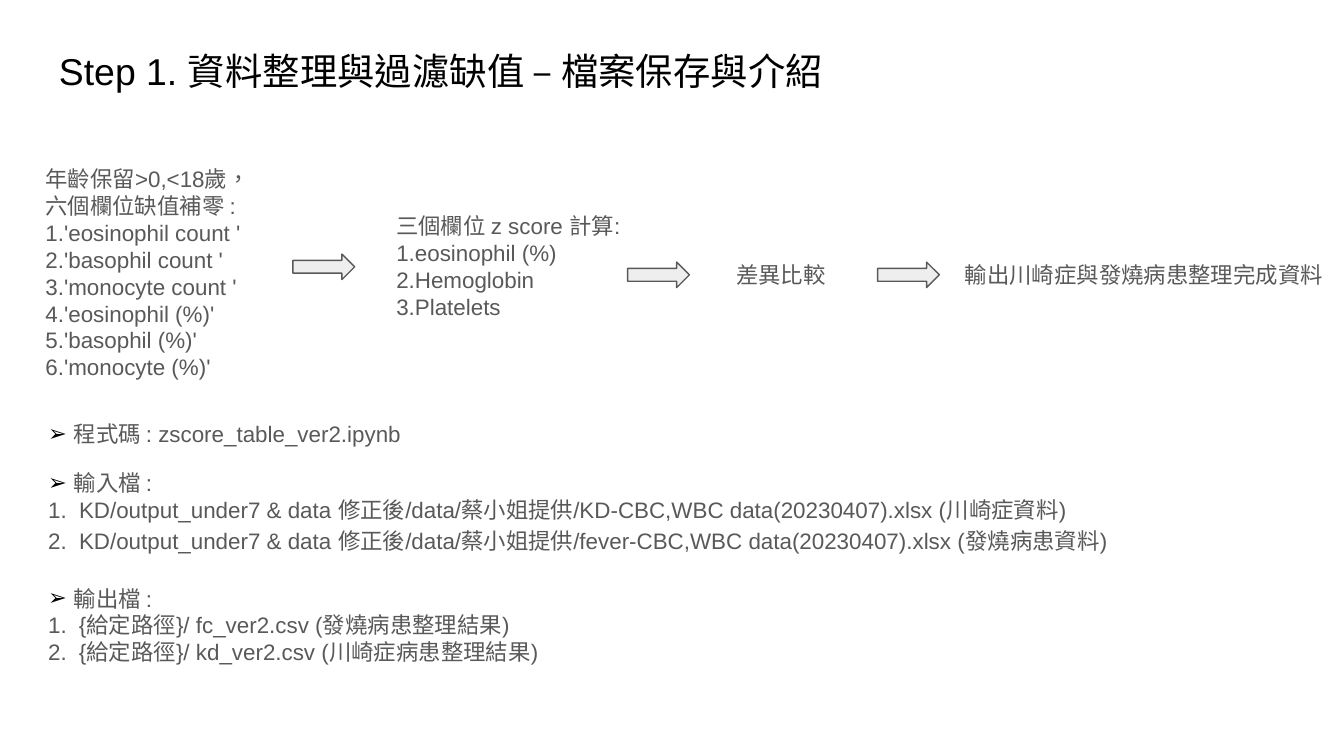
import pptx
import pptx.util
import pptx.dml.color
import pptx.enum.shapes
import pptx.enum.text
import pptx.oxml.ns
import lxml.etree

Inches = pptx.util.Inches
Pt = pptx.util.Pt
RGBColor = pptx.dml.color.RGBColor

BLACK = RGBColor(0x00, 0x00, 0x00)
GRAY = RGBColor(0x59, 0x59, 0x59)
PALE = RGBColor(0xEE, 0xEE, 0xEE)
FONT = "Arial"
LANGUAGE = "zh-TW"
BULLET = "➢"

HEADING = "Step 1. 資料整理與過濾缺值 – 檔案保存與介紹"

STEPS = [
    ((0.24, 1.13, 1.73, 1.82), [
        "年齡保留>0,<18歲，",
        "六個欄位缺值補零 :",
        "1.'eosinophil count '",
        "2.'basophil count '",
        "3.'monocyte count '",
        "4.'eosinophil (%)'",
        "5.'basophil (%)'",
        "6.'monocyte (%)'",
    ]),
    ((2.85, 1.48, 1.95, 1.01), [
        "三個欄位 z score 計算:",
        "1.eosinophil (%)",
        "2.Hemoglobin",
        "3.Platelets",
    ]),
    ((5.38, 1.84, 0.9, 0.4), ["差異比較"]),
    ((7.08, 1.84, 2.92, 0.4), ["輸出川崎症與發燒病患整理完成資料"]),
]

ARROW_CORNERS = [(2.18, 1.89), (4.67, 1.95), (6.53, 1.95)]
ARROW_SIZE = (0.46, 0.19)

FILE_LEFT = 0.26
FILE_GROUPS = [
    (3.03, 4.94, 0.4, 1, "程式碼 : zscore_table_ver2.ipynb", []),
    (3.39, 9.25, 0.84, 1.15, "輸入檔 :", [
        "KD/output_under7 & data 修正後/data/蔡小姐提供/KD-CBC,WBC data(20230407).xlsx (川崎症資料)",
        "KD/output_under7 & data 修正後/data/蔡小姐提供/fever-CBC,WBC data(20230407).xlsx (發燒病患資料)",
    ]),
    (4.25, 4.94, 0.81, 1, "輸出檔 :", [
        "{給定路徑}/ fc_ver2.csv (發燒病患整理結果)",
        "{給定路徑}/ kd_ver2.csv (川崎症病患整理結果)",
    ]),
]


def hang(paragraph, indent):
    properties = paragraph._p.get_or_add_pPr()
    properties.set("marL", str(Inches(indent)))
    properties.set("indent", str(-Inches(indent)))
    return properties


def add_bullet(paragraph):
    properties = hang(paragraph, 0.19)
    qn = pptx.oxml.ns.qn
    bullet_color = lxml.etree.SubElement(properties, qn("a:buClr"))
    lxml.etree.SubElement(bullet_color, qn("a:srgbClr"), val=str(BLACK))
    lxml.etree.SubElement(properties, qn("a:buFont"), typeface=FONT)
    lxml.etree.SubElement(properties, qn("a:buChar"), char=BULLET)


def add_text(slide, lines, box, size=12, color=GRAY, grow=True):
    frame = slide.shapes.add_textbox(*map(Inches, box)).text_frame
    frame.word_wrap = True
    if grow:
        frame.auto_size = pptx.enum.text.MSO_AUTO_SIZE.SHAPE_TO_FIT_TEXT
    frame.margin_left = frame.margin_right = Inches(0.1)
    frame.margin_top = frame.margin_bottom = Inches(0.1)
    for index, line in enumerate(lines):
        paragraph = frame.add_paragraph() if index else frame.paragraphs[0]
        run = paragraph.add_run()
        run.text = line
        run.font.name = FONT
        run.font.size = Pt(size)
        run.font.color.rgb = color
        run._r.get_or_add_rPr().set("lang", LANGUAGE)
    return frame.paragraphs


def add_arrow(slide, corner):
    arrow = slide.shapes.add_shape(
        pptx.enum.shapes.MSO_SHAPE.RIGHT_ARROW,
        *map(Inches, corner + ARROW_SIZE))
    arrow.shadow.inherit = False
    arrow.fill.solid()
    arrow.fill.fore_color.rgb = PALE
    arrow.line.color.rgb = GRAY
    arrow.line.width = Pt(0.75)


def add_file_group(slide, top, width, height, last_spacing, label, files):
    numbered = [f"{number}.\t{name}" for number, name in enumerate(files, 1)]
    label_line, *file_lines = add_text(
        slide, [label] + numbered, (FILE_LEFT, top, width, height))
    for file_line in file_lines:
        hang(file_line, 0.23)
    if last_spacing != 1:
        file_lines[-1].line_spacing = last_spacing
    add_bullet(label_line)


def main():
    deck = pptx.Presentation()
    deck.slide_width = Inches(10)
    deck.slide_height = deck.slide_width * 9 // 16
    slide = deck.slides.add_slide(deck.slide_layouts[6])
    add_text(slide, [HEADING], (0.34, 0.26, 9.32, 0.63),
             size=20, color=BLACK, grow=False)
    for box, lines in STEPS:
        add_text(slide, lines, box)
    for corner in ARROW_CORNERS:
        add_arrow(slide, corner)
    for group in FILE_GROUPS:
        add_file_group(slide, *group)
    deck.save("out.pptx")


if __name__ == "__main__":
    main()
